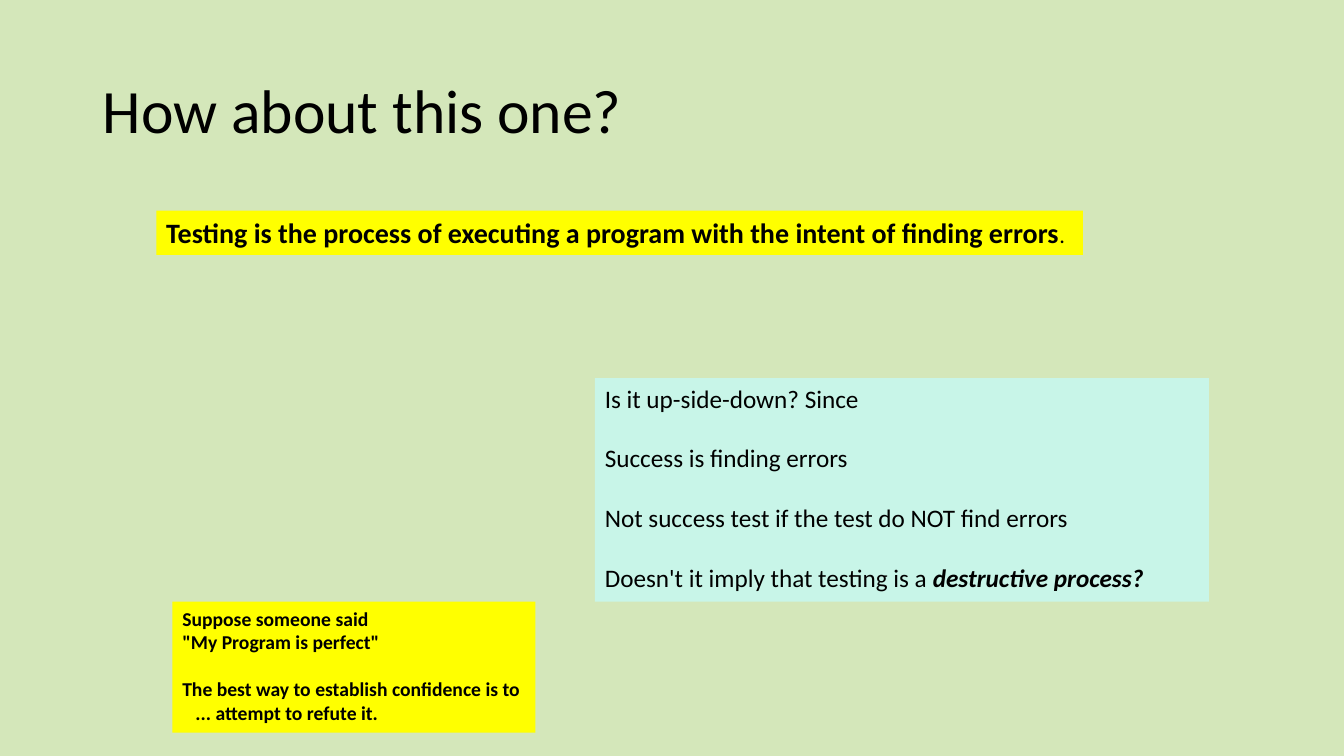
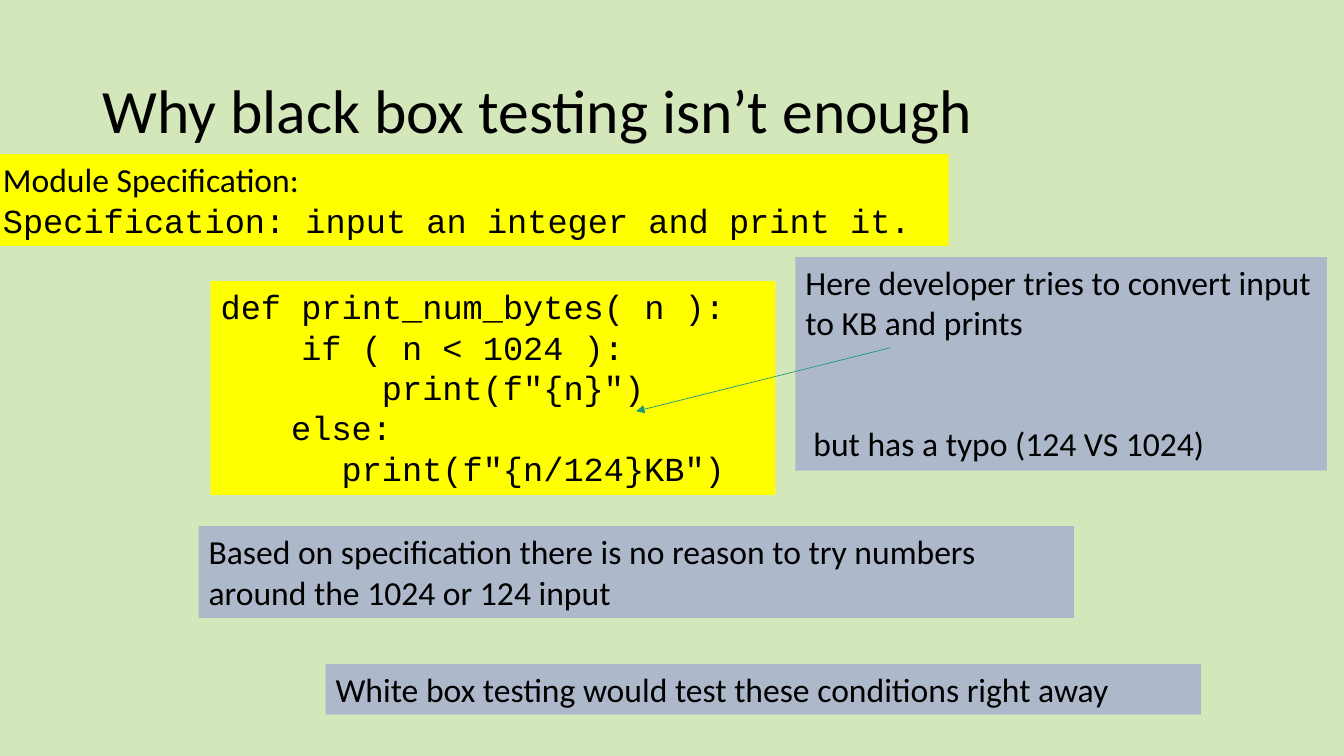
from lxml import etree
from pptx import Presentation
from pptx.dml.color import RGBColor
from pptx.enum.shapes import MSO_CONNECTOR, MSO_SHAPE
from pptx.enum.text import MSO_ANCHOR, PP_ALIGN
from pptx.oxml.ns import qn
from pptx.util import Inches, Pt

RECTANGLE = MSO_SHAPE.RECTANGLE
STRAIGHT = MSO_CONNECTOR.STRAIGHT
TOP, MIDDLE = MSO_ANCHOR.TOP, MSO_ANCHOR.MIDDLE
LEFT = PP_ALIGN.LEFT

BACKGROUND, BLACK = "D4E7BA", "000000"
YELLOW, MINT, BLUE_GREY, TEAL = "FFFF00", "C8F5E8", "ADB9CA", "1D9A78"
BODY, CODE = "Calibri", "Courier New"


def color(hex_string):
    return RGBColor.from_string(hex_string)


def add_note(slide, box, fill, size, lines, font=BODY, bold=False):
    """Filled box; each line is (text, space before in points, indent in inches)."""
    shape = slide.shapes.add_shape(RECTANGLE, *(Inches(value) for value in box))
    shape.shadow.inherit = False
    shape.fill.solid()
    shape.fill.fore_color.rgb = color(fill)
    shape.line.fill.background()
    text_frame = shape.text_frame
    text_frame.word_wrap = True
    text_frame.vertical_anchor = TOP
    text_frame.text = "\n".join(text for text, space, indent in lines)
    for paragraph, (text, space, indent) in zip(text_frame.paragraphs, lines):
        paragraph.alignment = LEFT
        paragraph.space_before = Pt(space)
        paragraph._p.get_or_add_pPr().set("marL", str(Inches(indent)))
        paragraph.font.size = Pt(size)
        for run in paragraph.runs:
            run.font.name = font
            run.font.size = Pt(size)
            run.font.bold = bold
            run.font.color.rgb = color(BLACK)
    return text_frame.paragraphs


presentation = Presentation()
presentation.slide_width, presentation.slide_height = Inches(13.33), Inches(7.5)
background = presentation.slide_master.background.fill
background.solid()
background.fore_color.rgb = color(BACKGROUND)

# Slides with their titles
slides = []
for title in ("How about this one?", "Why black box testing isn’t enough"):
    slide = presentation.slides.add_slide(presentation.slide_layouts[6])
    text_box = slide.shapes.add_textbox(Inches(0.92), Inches(0.4), Inches(11.5), Inches(1.45))
    text_frame = text_box.text_frame
    text_frame.word_wrap = True
    text_frame.vertical_anchor = MIDDLE
    text_frame.text = title
    paragraph = text_frame.paragraphs[0]
    paragraph.line_spacing = 0.9
    font = paragraph.runs[0].font
    font.name, font.size = BODY, Pt(44)
    font.color.rgb = color(BLACK)
    slides.append(slide)
definition_slide, black_box_slide = slides

# Slide 1: definition of testing
definition = add_note(definition_slide, (1.55, 2.09, 9.19, 0.44), YELLOW, 20, [
    ("Testing is the process of executing a program with the intent of finding errors", 0, 0),
], bold=True)
full_stop = definition[0].add_run()
full_stop.text = "."
full_stop.font.name, full_stop.font.size = BODY, Pt(16)
full_stop.font.color.rgb = color(BLACK)

# Slide 1: questions
questions = add_note(definition_slide, (5.9, 3.75, 6.09, 2.22), MINT, 18, [
    ("Is it up-side-down? Since", 0, 0),
    ("Success is finding errors", 21, 0),
    ("Not success test if the test do NOT find errors", 21, 0),
    ("Doesn't it imply that testing is a ", 21, 0),
])
emphasis = questions[-1].add_run()
emphasis.text = "destructive process?"
emphasis.font.name, emphasis.font.size = BODY, Pt(18)
emphasis.font.bold = emphasis.font.italic = True
emphasis.font.color.rgb = color(BLACK)

# Slide 1: claim and refutation
add_note(definition_slide, (1.71, 5.97, 3.6, 1.3), YELLOW, 14, [
    ("Suppose someone said", 0, 0),
    ("\"My Program is perfect\"", 0, 0),
    ("The best way to establish confidence is to", 16.5, 0),
    ("... attempt to refute it.", 0, 0.13),
], bold=True)

# Slide 2: specification and code
specification = add_note(black_box_slide, (-0.07, 1.53, 9.48, 0.91), YELLOW, 24, [
    ("Module Specification:", 0, 0),
    ("Specification: input an integer and print it.", 0, 0),
])
specification[1].runs[0].font.name = CODE
add_note(black_box_slide, (2.09, 2.79, 5.6, 2.12), YELLOW, 24, [
    ("def print_num_bytes( n ):", 0, 0),
    ("if ( n < 1024 ):", 0, 0.8),
    ("print(f\"{n}\")", 0, 1.6),
    ("else:", 0, 0.7),
    ("print(f\"{n/124}KB\")", 0, 1.2),
], font=CODE)

# Slide 2: remark with an arrow to the code
add_note(black_box_slide, (7.89, 2.55, 5.27, 2.12), BLUE_GREY, 24, [
    ("Here developer tries to convert input", 0, 0),
    ("to KB and prints", 0, 0),
    ("but has a typo (124 VS 1024)", 57, 0.08),
])
arrow = black_box_slide.shapes.add_connector(
    STRAIGHT, Inches(8.83), Inches(3.45), Inches(6.31), Inches(4.08))
arrow.line.color.rgb = color(TEAL)
arrow.line.width = Pt(0.5)
etree.SubElement(arrow.line._get_or_add_ln(), qn("a:tailEnd"), type="triangle")
etree.SubElement(arrow._element.spPr, qn("a:effectLst"))

# Slide 2: conclusions
for left, top, height, text in (
    (1.97, 5.22, 0.91,
     "Based on specification there is no reason to try numbers around the 1024 or 124 input"),
    (3.23, 6.59, 0.5, "White box testing would test these conditions right away"),
):
    add_note(black_box_slide, (left, top, 8.68, height), BLUE_GREY, 24, [(text, 0, 0)])

presentation.save("out.pptx")
